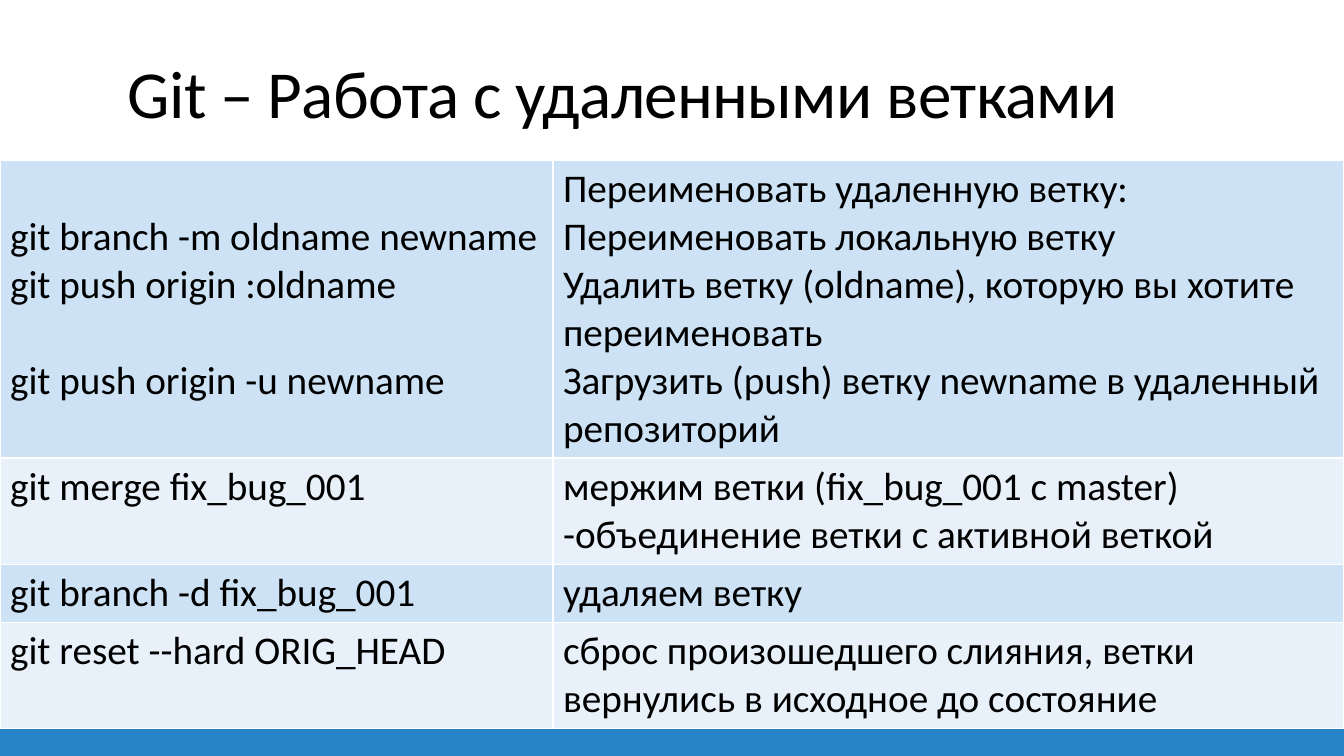
from dataclasses import dataclass

from lxml.etree import SubElement as Sub
from pptx import Presentation
from pptx.dml.color import RGBColor as RGB
from pptx.enum.shapes import MSO_SHAPE as Shape
from pptx.enum.text import MSO_ANCHOR as Anchor, MSO_AUTO_SIZE as Fit, PP_ALIGN as Align
from pptx.oxml.ns import qn
from pptx.slide import Slide
from pptx.table import Table, _Cell as Cell
from pptx.text.text import TextFrame
from pptx.util import Pt

BLACK = RGB(0, 0, 0)
WHITE = RGB(0xFF, 0xFF, 0xFF)
BLUE = RGB(0x26, 0x83, 0xC6)
BANDS = RGB(0xCD, 0xE3, 0xF5), RGB(0xE8, 0xF1, 0xFA)

FONT = "Calibri"
WIDE, HIGH = 960, 540
LINE = 34.2  # height of one table text line
PAD = 3.6  # top margin of a cell


@dataclass
class Row:
    high: float
    code: list[str]
    note: list[str]
    top: float = 0  # extra space above the code
    gaps: tuple[float, ...] = ()  # space before each code line


ROWS = [
    Row(212,
        ["git branch -m oldname newname", "git push origin :oldname",
         "git push origin -u newname"],
        ["Переименовать удаленную ветку:", "Переименовать локальную ветку",
         "Удалить ветку (oldname), которую вы хотите переименовать",
         "Загрузить (push) ветку newname в удаленный репозиторий"],
        top=LINE, gaps=(0, 0, LINE)),
    Row(76, ["git merge fix_bug_001"],
        ["мержим ветки (fix_bug_001 c master) -объединение ветки с активной веткой"]),
    Row(41.4, ["git branch -d fix_bug_001"], ["удаляем ветку"]),
    Row(76, ["git reset --hard ORIG_HEAD"],
        ["сброс произошедшего слияния, ветки вернулись в исходное до состояние"]),
]


def write(frame: TextFrame, lines: list[str], *, size: float, color: RGB = BLACK,
          gaps: tuple[float, ...] = (), lead: float = 1, track: float = 0) -> None:
    """Fill a text frame, one paragraph for each line."""
    for i, line in enumerate(lines):
        para = frame.add_paragraph() if i else frame.paragraphs[0]
        para.alignment = Align.LEFT
        para.line_spacing = lead
        para.space_before = Pt(gaps[i] if gaps else 0)
        run = para.add_run()
        run.text = line
        font = run.font
        font.name, font.size, font.color.rgb = FONT, Pt(size), color
        if track:
            run._r.get_or_add_rPr().set("spc", str(round(track * 100)))


def edge(cell: Cell, color: RGB, width: float) -> None:
    """Draw all four borders of a cell."""
    props = cell._tc.get_or_add_tcPr()
    for side in "LRTB":
        line = Sub(props, qn(f"a:ln{side}"), w=str(Pt(width)))
        Sub(Sub(line, qn("a:solidFill")), qn("a:srgbClr"), val=str(color))


def draw_row(table: Table, index: int, row: Row) -> None:
    table.rows[index].height = Pt(row.high)
    parts = (row.code, row.top, row.gaps), (row.note, 0, ())
    for col, (lines, top, gaps) in enumerate(parts):
        cell = table.cell(index, col)
        edge(cell, WHITE, 1)
        cell.fill.solid()
        cell.fill.fore_color.rgb = BANDS[index % 2]
        cell.margin_top = Pt(PAD + top)
        write(cell.text_frame, lines, size=28, gaps=gaps)


def draw_strip(slide: Slide) -> None:
    strip = slide.shapes.add_shape(Shape.RECTANGLE, 0, Pt(504), Pt(WIDE), Pt(36))
    strip.shadow.inherit = False
    strip.fill.solid()
    strip.fill.fore_color.rgb = BLUE
    strip.line.fill.background()


def draw_title(slide: Slide, text: str) -> None:
    title = slide.shapes.title
    title.left, title.top, title.width, title.height = map(Pt, (84, 17.3, 792, 80.6))
    frame = title.text_frame
    frame.word_wrap = True
    frame.auto_size = Fit.NONE
    frame.vertical_anchor = Anchor.BOTTOM
    write(frame, [text], size=48, lead=0.85, track=-0.5)


def draw_table(slide: Slide, rows: list[Row]) -> None:
    high = sum(row.high for row in rows)
    table = slide.shapes.add_table(len(rows), 2, 0, Pt(114.6), Pt(WIDE), Pt(high)).table
    table.first_row = table.horz_banding = False
    for col, width in zip(table.columns, (395, WIDE - 395)):
        col.width = Pt(width)
    for i, row in enumerate(rows):
        draw_row(table, i, row)


def main() -> None:
    deck = Presentation()
    deck.slide_width, deck.slide_height = Pt(WIDE), Pt(HIGH)
    slide = deck.slides.add_slide(deck.slide_layouts[5])
    # Bottom strip, heading, then the command table
    draw_strip(slide)
    draw_title(slide, "Git – Работа с удаленными ветками")
    draw_table(slide, ROWS)
    deck.save("out.pptx")


if __name__ == "__main__":
    main()
